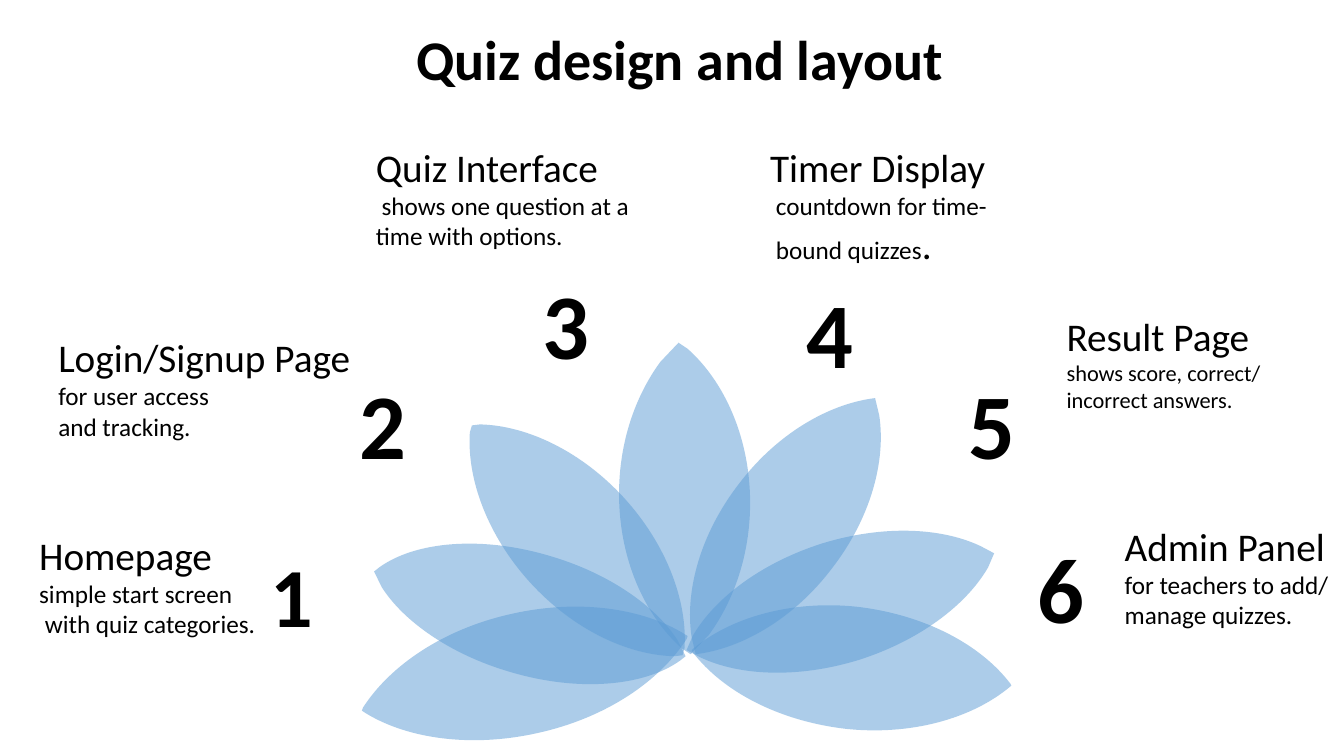
from dataclasses import dataclass
from math import cos, radians, sin

from lxml.etree import SubElement
from pptx import Presentation
from pptx.dml.color import RGBColor
from pptx.enum.text import MSO_AUTO_SIZE
from pptx.oxml.ns import qn
from pptx.shapes.autoshape import Shape
from pptx.shapes.shapetree import GroupShapes
from pptx.slide import Slide
from pptx.util import Inches, Pt

COLORS = {"petal": "5B9BD5", "text": "000000"}
FONT = "Calibri"
UNITS_PER_INCH = 1000

Point = tuple[float, float]
Run = tuple[str, float]


@dataclass(frozen=True)
class Petal:
    """One side, from tip to base: tip, shoulder, two curves of three points, base."""
    rotation: float
    side: list[Point]


@dataclass(frozen=True)
class Feature:
    box: tuple[float, float, float, float]
    heading: list[Run]
    details: list[list[Run]]
    wrap: bool = False


@dataclass(frozen=True)
class Numeral:
    left: float
    top: float
    size: float = 66
    width: float = 0.67
    height: float = 1.21


PETALS = [
    Petal(257.1, [(3.59, 7.05), (3.6, 7.02), (3.87, 6.6), (4.4, 6.24), (5.07, 6.09),
                  (5.73, 5.94), (6.37, 6.03), (6.79, 6.29), (6.82, 6.31)]),
    Petal(0, [(6.73, 3.4), (6.82, 3.46), (7.19, 3.79), (7.44, 4.35), (7.44, 4.99),
              (7.44, 5.5), (7.28, 5.96), (7.03, 6.3), (6.85, 6.49)]),
    Petal(287, [(3.71, 5.67), (3.76, 5.63), (4.12, 5.37), (4.78, 5.31), (5.47, 5.52),
                (6.04, 5.69), (6.5, 6.01), (6.72, 6.35), (6.8, 6.51)]),
    Petal(317.5, [(4.68, 4.22), (4.76, 4.21), (5.23, 4.22), (5.77, 4.48), (6.19, 4.94),
                  (6.61, 5.4), (6.82, 5.96), (6.79, 6.43), (6.77, 6.5)]),
    Petal(276.3, [(6.86, 6.45), (6.87, 6.44), (7.25, 6.12), (7.86, 5.95), (8.51, 6.02),
                  (9.17, 6.1), (9.72, 6.39), (10.02, 6.78), (10.03, 6.8)]),
    Petal(72.7, [(9.86, 5.49), (9.8, 5.63), (9.58, 6.01), (9.11, 6.36), (8.51, 6.55),
                 (7.92, 6.73), (7.34, 6.71), (6.94, 6.52), (6.81, 6.45)]),
    Petal(37.4, [(8.68, 3.95), (8.72, 4.12), (8.79, 4.58), (8.63, 5.15), (8.25, 5.64),
                 (7.88, 6.13), (7.37, 6.43), (6.91, 6.49), (6.9, 6.49)]),
]

FEATURES = [
    Feature((0.29, 5.22, 2.37, 1.18), [("Homepage", 28)],
            [[("simple start screen", 18)], [(" with quiz categories.", 18)]]),
    Feature((0.48, 3.26, 3.31, 1.18), [("Login/Signup Page", 28)],
            [[("for user access", 18)], [("and tracking.", 18)]]),
    Feature((3.63, 1.37, 2.88, 1.18), [("Quiz Interface", 28)],
            [[(" shows one question at a time with options.", 18)]], wrap=True),
    Feature((7.54, 1.37, 2.45, 1.35), [("Timer Display", 28)],
            [[(" countdown for time-", 18)], [(" bound quizzes", 18), (".", 28)]]),
    Feature((10.48, 3.05, 3.69, 1.11), [("Result Page", 28)],
            [[("shows score, correct/", 16)], [("incorrect answers.", 16)]], wrap=True),
    Feature((11, 5.13, 2.36, 1.18), [(" ", 18), ("Admin Panel", 28)],
            [[(" for teachers to add/", 18)], [(" manage quizzes.", 18)]]),
]

NUMERALS = [
    Numeral(2.58, 5.34, size=60, width=0.63, height=1.11),
    Numeral(3.47, 3.59),
    Numeral(5.28, 2.6),
    Numeral(7.9, 2.69),
    Numeral(9.51, 3.59),
    Numeral(10.19, 5.22),
]


def upright_outline(petal: Petal) -> list[Point]:
    """Both sides, each the half-turn of the other, with the rotation undone."""
    tip, base = petal.side[0], petal.side[-1]
    center_x, center_y = (tip[0] + base[0]) / 2, (tip[1] + base[1]) / 2
    angle = radians(-petal.rotation)
    offsets = [(x - center_x, y - center_y) for x, y in petal.side]
    offsets += [(-x, -y) for x, y in offsets[1:-1]]
    return [(center_x + x * cos(angle) - y * sin(angle),
             center_y + x * sin(angle) + y * cos(angle)) for x, y in offsets]


def bend_sides(leaf: Shape) -> None:
    """Merge each three points after a shoulder into one cubic curve."""
    segments = list(leaf.element.iter(qn("a:lnTo")))
    for first in (1, 4, 9, 12):
        start, *others = segments[first:first + 3]
        start.tag = qn("a:cubicBezTo")
        for other in others:
            start.append(other[0])
            other.getparent().remove(other)


def draw_petal(flower: GroupShapes, petal: Petal) -> None:
    outline = [(round(x * UNITS_PER_INCH), round(y * UNITS_PER_INCH))
               for x, y in upright_outline(petal)]
    builder = flower.build_freeform(*outline[0], scale=Inches(1) / UNITS_PER_INCH)
    builder.add_line_segments(outline[1:], close=True)
    leaf = builder.convert_to_shape()
    bend_sides(leaf)
    leaf.rotation = petal.rotation
    leaf.shadow.inherit = False
    leaf.line.fill.background()
    leaf.fill.solid()
    leaf.fill.fore_color.rgb = RGBColor.from_string(COLORS["petal"])
    tint = next(leaf.element.spPr.iter(qn("a:srgbClr")))
    SubElement(tint, qn("a:alpha"), val="50000")


def add_text(slide: Slide, lines: list[list[Run]], *,
             box: tuple[float, float, float, float],
             bold: bool = False, wrap: bool = False) -> None:
    frame = slide.shapes.add_textbox(*(Inches(length) for length in box)).text_frame
    frame.word_wrap = wrap
    frame.auto_size = MSO_AUTO_SIZE.SHAPE_TO_FIT_TEXT
    for index, line in enumerate(lines):
        paragraph = frame.add_paragraph() if index else frame.paragraphs[0]
        for words, size in line:
            run = paragraph.add_run()
            run.text = words
            run.font.name = FONT
            run.font.size = Pt(size)
            run.font.bold = bold
            run.font.color.rgb = RGBColor.from_string(COLORS["text"])


def main() -> None:
    deck = Presentation()
    deck.slide_width, deck.slide_height = Inches(13.33), Inches(7.5)
    slide = deck.slides.add_slide(deck.slide_layouts[6])
    flower = slide.shapes.add_group_shape().shapes
    for petal in PETALS:
        draw_petal(flower, petal)
    for feature in FEATURES:
        add_text(slide, [feature.heading, *feature.details],
                 box=feature.box, wrap=feature.wrap)
    for number, numeral in enumerate(NUMERALS, start=1):
        add_text(slide, [[(str(number), numeral.size)]], bold=True,
                 box=(numeral.left, numeral.top, numeral.width, numeral.height))
    add_text(slide, [[("Quiz design and layout", 40)]], bold=True,
             box=(4.03, 0.19, 5.49, 0.77))
    deck.save("out.pptx")


if __name__ == "__main__":
    main()
